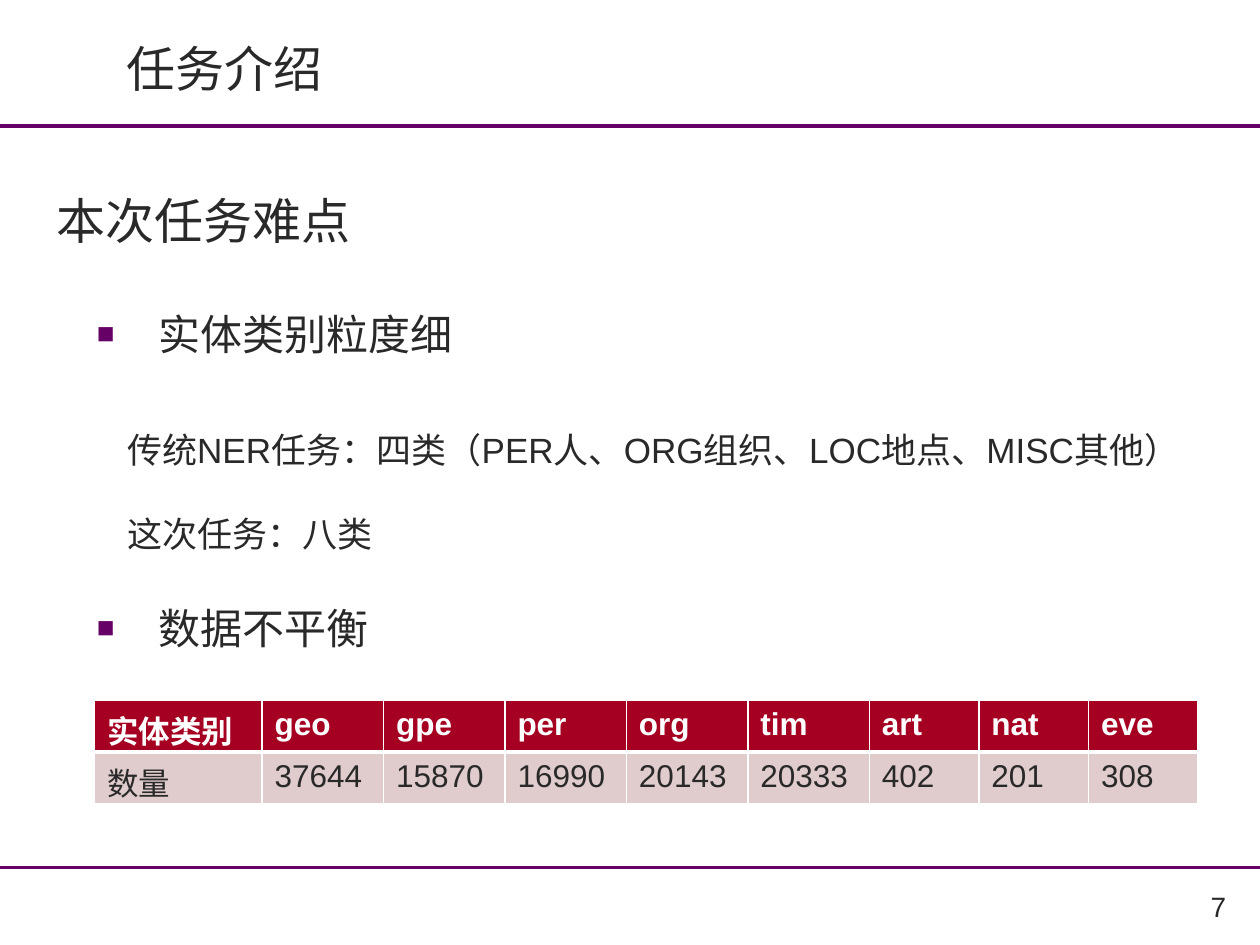
from lxml import etree
from pptx import Presentation
from pptx.dml.color import RGBColor
from pptx.enum import shapes, text
from pptx.oxml import ns
from pptx.util import Inches, Pt

# Content
SECTION = "任务介绍"
TITLE = "本次任务难点"
POINTS = ["实体类别粒度细", "数据不平衡"]
DETAILS = [
    "传统NER任务：四类（PER人、ORG组织、LOC地点、MISC其他）",
    "这次任务：八类",
]
COUNTS = [
    ("实体类别", "数量"), ("geo", "37644"), ("gpe", "15870"),
    ("per", "16990"), ("org", "20143"), ("tim", "20333"),
    ("art", "402"), ("nat", "201"), ("eve", "308"),
]
PAGE_NUMBER = "7"

# Table grid: a label column, five wide columns and three narrow ones
TABLE_WIDTH, LABEL_WIDTH, NARROW_WIDTH = 8.76, 1.33, 0.87
WIDE_WIDTH = (TABLE_WIDTH - LABEL_WIDTH - 3 * NARROW_WIDTH) / 5
COLUMN_WIDTHS = [LABEL_WIDTH] + [WIDE_WIDTH] * 5 + [NARROW_WIDTH] * 3
ROW_HEIGHT = 0.41

# Style
INK = RGBColor(0x29, 0x29, 0x29)
PURPLE = RGBColor(0x66, 0x00, 0x66)
RED = RGBColor(0xA5, 0x00, 0x21)
PINK = RGBColor(0xE1, 0xCC, 0xCD)
WHITE = RGBColor(0xFF, 0xFF, 0xFF)
LATIN, CHINESE = "Arial", "Noto Sans CJK SC"


def add_xml(parent, tag, **attributes):
    return etree.SubElement(parent, ns.qn(tag), attributes)


def style(para, size, name=LATIN, color=INK, bold=False):
    font = para.font
    font.size, font.name, font.bold = Pt(size), name, bold
    font.color.rgb = color
    latin = para._p.pPr.find(".//" + ns.qn("a:latin"))
    latin.addnext(etree.Element(ns.qn("a:ea"), typeface=CHINESE))


def fill_frame(frame, lines):
    frame.word_wrap = True
    frame.text = "\n".join(lines)
    return frame.paragraphs


def add_text(page, place, lines):
    box = page.shapes.add_textbox(*map(Inches, place))
    return fill_frame(box.text_frame, lines)


def add_rule(page, top, height):
    # The bar of a minus sign is narrower than its frame, so the frame overhangs
    rule = page.shapes.add_shape(
        shapes.MSO_SHAPE.MATH_MINUS,
        Inches(-1.82), Inches(top), Inches(13.64), Inches(height))
    rule.shadow.inherit = False
    rule.fill.solid()
    rule.fill.fore_color.rgb = PURPLE
    rule.line.fill.background()


def add_bullet(para):
    props = para._p.get_or_add_pPr()
    props.set("marL", str(Inches(0.49)))
    props.set("indent", str(Inches(-0.49)))
    add_xml(add_xml(props, "a:buClr"), "a:srgbClr", val=str(PURPLE))
    add_xml(props, "a:buSzPct", val="70000")
    add_xml(props, "a:buFont", typeface=LATIN)
    add_xml(props, "a:buChar", char="■")


def set_cell(cell, words, fill, color, bold, borders):
    cell.text = words
    style(cell.text_frame.paragraphs[0], 18, color=color, bold=bold)
    props = cell._tc.get_or_add_tcPr()
    for side, weight in zip("LRTB", borders):
        line = add_xml(props, f"a:ln{side}", w=str(Pt(weight)))
        add_xml(add_xml(line, "a:solidFill"), "a:srgbClr", val=str(WHITE))
    cell.fill.solid()
    cell.fill.fore_color.rgb = fill


def main():
    deck = Presentation()
    deck.slide_width, deck.slide_height = Inches(10), Inches(7.5)
    page = deck.slides.add_slide(deck.slide_layouts[5])

    # Rules and page number
    add_rule(page, 6.83, 0.11)
    add_rule(page, 0.94, 0.12)
    number = add_text(page, (8.81, 7.01, 1.02, 0.34), [PAGE_NUMBER])[0]
    number.alignment = text.PP_ALIGN.RIGHT
    style(number, 16)

    # Section name and title
    style(add_text(page, (0.91, 0.26, 2.36, 0.57), [SECTION])[0], 28, CHINESE)
    title = page.shapes.title
    title.left, title.top = Inches(0.35), Inches(1.44)
    title.width, title.height = Inches(2.83), Inches(0.61)
    title.text_frame.vertical_anchor = text.MSO_ANCHOR.MIDDLE
    heading = fill_frame(title.text_frame, [TITLE])[0]
    heading.alignment = text.PP_ALIGN.LEFT
    style(heading, 28, CHINESE)

    # Bulleted points, with room for the details between them
    points = add_text(page, (0.67, 2.4, 9.23, 2.9), POINTS)
    for para in points:
        add_bullet(para)
        style(para, 24, CHINESE)
    points[1].space_before = Pt(139)

    # Details of the first point
    details = add_text(page, (0.91, 3.35, 8.75, 1.44), DETAILS)
    for para in details:
        para.line_spacing = Pt(24)
        style(para, 20)
    details[1].space_before = Pt(24)

    # Entity counts
    table = page.shapes.add_table(
        2, len(COUNTS), Inches(0.75), Inches(5.56),
        Inches(TABLE_WIDTH), Inches(2 * ROW_HEIGHT)).table
    for row in table.rows:
        row.height = Inches(ROW_HEIGHT)
    for index, (width, (kind, count)) in enumerate(zip(COLUMN_WIDTHS, COUNTS)):
        table.columns[index].width = Inches(width)
        set_cell(table.cell(0, index), kind, RED, WHITE, True, (1, 1, 1, 3))
        set_cell(table.cell(1, index), count, PINK, INK, False, (1, 1, 3, 1))

    deck.save("out.pptx")


if __name__ == "__main__":
    main()
